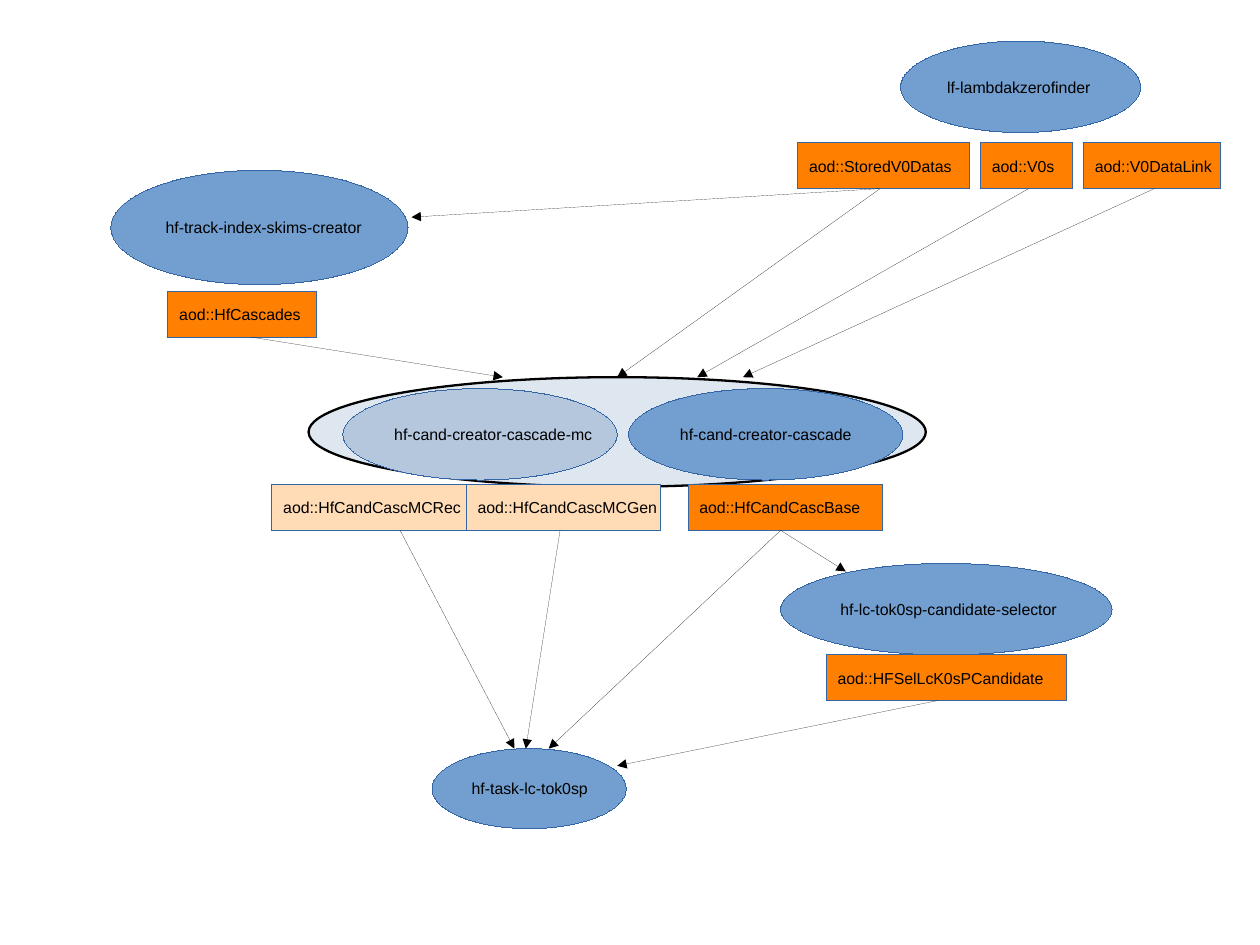
from lxml.etree import SubElement
from dataclasses import dataclass
from pptx import Presentation
from pptx.dml.color import RGBColor
from pptx.enum.shapes import MSO_CONNECTOR, MSO_SHAPE
from pptx.enum.text import MSO_ANCHOR, PP_ALIGN
from pptx.oxml.ns import qn
from pptx.util import Cm, Inches, Pt


@dataclass(frozen=True)
class Theme:
    """Colours, font and sizes of the workflow diagram."""
    task: str = "729FCF"
    task_mc: str = "B4C7DC"
    group: str = "DEE6EF"
    table: str = "FF8000"
    table_mc: str = "FFDBB6"
    outline: str = "3465A4"
    ink: str = "000000"
    font: str = "Arial"
    text_size: float = 10
    hairline: float = 0
    group_line: float = 1.45


CELL = 0.1
TABLE_HEIGHT = 4
FINDER_ROW, CREATOR_ROW = 12.5, 42.4

TASKS = [
    ("hf-task-lc-tok0sp", 37.8, 65.5, 17, 7),
    ("hf-lc-tok0sp-candidate-selector", 68.3, 49.3, 29, 8),
    ("hf-cand-creator-cascade", 55, 34, 24, 8),
    ("lf-lambdakzerofinder", 78.8, 3.6, 21, 8),
    ("hf-track-index-skims-creator", 9.7, 14.9, 26, 10),
]
TABLES = [
    ("aod::HfCandCascBase", 60.2, CREATOR_ROW, 17),
    ("aod::HFSelLcK0sPCandidate", 72.3, 57.3, 21),
    ("aod::HfCascades", 14.7, 25.5, 13),
    ("aod::V0DataLink", 94.8, FINDER_ROW, 12),
    ("aod::V0s", 85.8, FINDER_ROW, 8),
    ("aod::StoredV0Datas", 69.8, FINDER_ROW, 15),
]
MC_TABLES = [
    ("aod::HfCandCascMCRec", 23.8, CREATOR_ROW, 17),
    ("aod::HfCandCascMCGen", 40.8, CREATOR_ROW, 17),
]
ARROWS = [
    (77, FINDER_ROW, [(36, 19), (54, 33)]),
    (90, FINDER_ROW, [(61, 33)]),
    (101, FINDER_ROW, [(65, 33)]),
    (22, 25.5, [(44, 33)]),
    (68.3, CREATOR_ROW, [(74, 50), (48, 65.5)]),
    (49, CREATOR_ROW, [(46, 65.5)]),
    (35, CREATOR_ROW, [(45, 65.5)]),
    (82, 57.3, [(54, 67)]),
]


def grid(*cells):
    """Turn grid cells into slide lengths."""
    return [Inches(cell * CELL) for cell in cells]


def write(text_frame, text, *, font, size, color, align=PP_ALIGN.LEFT):
    """Write one line of text in the given format."""
    paragraph = text_frame.paragraphs[0]
    paragraph.alignment = align
    run = paragraph.add_run()
    run.text = text
    run.font.name = font
    run.font.size = Pt(size)
    run.font.color.rgb = RGBColor.from_string(color)


def outline(shape, *, color, width):
    """Style the line of a shape, writing even a zero width, and return it."""
    shape.line.color.rgb = RGBColor.from_string(color)
    line = shape._element.spPr.find(qn("a:ln"))
    line.set("w", str(int(Pt(width))))
    return line


class Diagram:
    """Draws the workflow elements on one slide in one theme."""

    def __init__(self, slide, theme):
        """Keep the slide and the theme."""
        self.slide = slide
        self.theme = theme

    def node(self, kind, area, fill, color, width):
        """Add a filled and outlined shape."""
        shape = self.slide.shapes.add_shape(kind, *grid(*area))
        shape.shadow.inherit = False
        shape.fill.solid()
        shape.fill.fore_color.rgb = RGBColor.from_string(fill)
        outline(shape, color=color, width=width)
        return shape

    def group(self, *area):
        """Add the ellipse that encloses related tasks."""
        theme = self.theme
        self.node(MSO_SHAPE.OVAL, area, theme.group, theme.ink, theme.group_line)

    def labelled(self, kind, text, area, fill):
        """Add a shape with a one-line label."""
        theme = self.theme
        shape = self.node(kind, area, fill, theme.outline, theme.hairline)
        shape.text_frame.word_wrap = False
        shape.text_frame.vertical_anchor = MSO_ANCHOR.MIDDLE
        write(shape.text_frame, text, font=theme.font,
              size=theme.text_size, color=theme.ink)

    def task(self, text, *area, fill):
        """Add a task ellipse."""
        self.labelled(MSO_SHAPE.OVAL, text, area, fill)

    def table(self, text, left, top, width, fill):
        """Add a box for a table that a task produces."""
        self.labelled(MSO_SHAPE.RECTANGLE, text, (left, top, width, TABLE_HEIGHT), fill)

    def arrow(self, start, end):
        """Add a hairline arrow from start to end."""
        connector = self.slide.shapes.add_connector(
            MSO_CONNECTOR.STRAIGHT, *grid(*start, *end))
        line = outline(connector, color=self.theme.ink, width=self.theme.hairline)
        SubElement(line, qn("a:tailEnd"), type="triangle")
        SubElement(connector._element.spPr, qn("a:effectLst"))


def main():
    """Build and save the workflow slide."""
    presentation = Presentation()
    presentation.slide_width = Cm(28)
    presentation.slide_height = Cm(21)
    slide = presentation.slides.add_slide(presentation.slide_layouts[6])
    theme = Theme()
    diagram = Diagram(slide, theme)
    diagram.group(27, 33, 54, 9.6)
    for task in TASKS:
        diagram.task(*task, fill=theme.task)
    for table in TABLES:
        diagram.table(*table, fill=theme.table)
    for table in MC_TABLES:
        diagram.table(*table, fill=theme.table_mc)
    for column, row, targets in ARROWS:
        for target in targets:
            diagram.arrow((column, row + TABLE_HEIGHT), target)
    diagram.task("hf-cand-creator-cascade-mc", 30, 34, 24, 8, fill=theme.task_mc)
    presentation.save("out.pptx")


if __name__ == "__main__":
    main()
